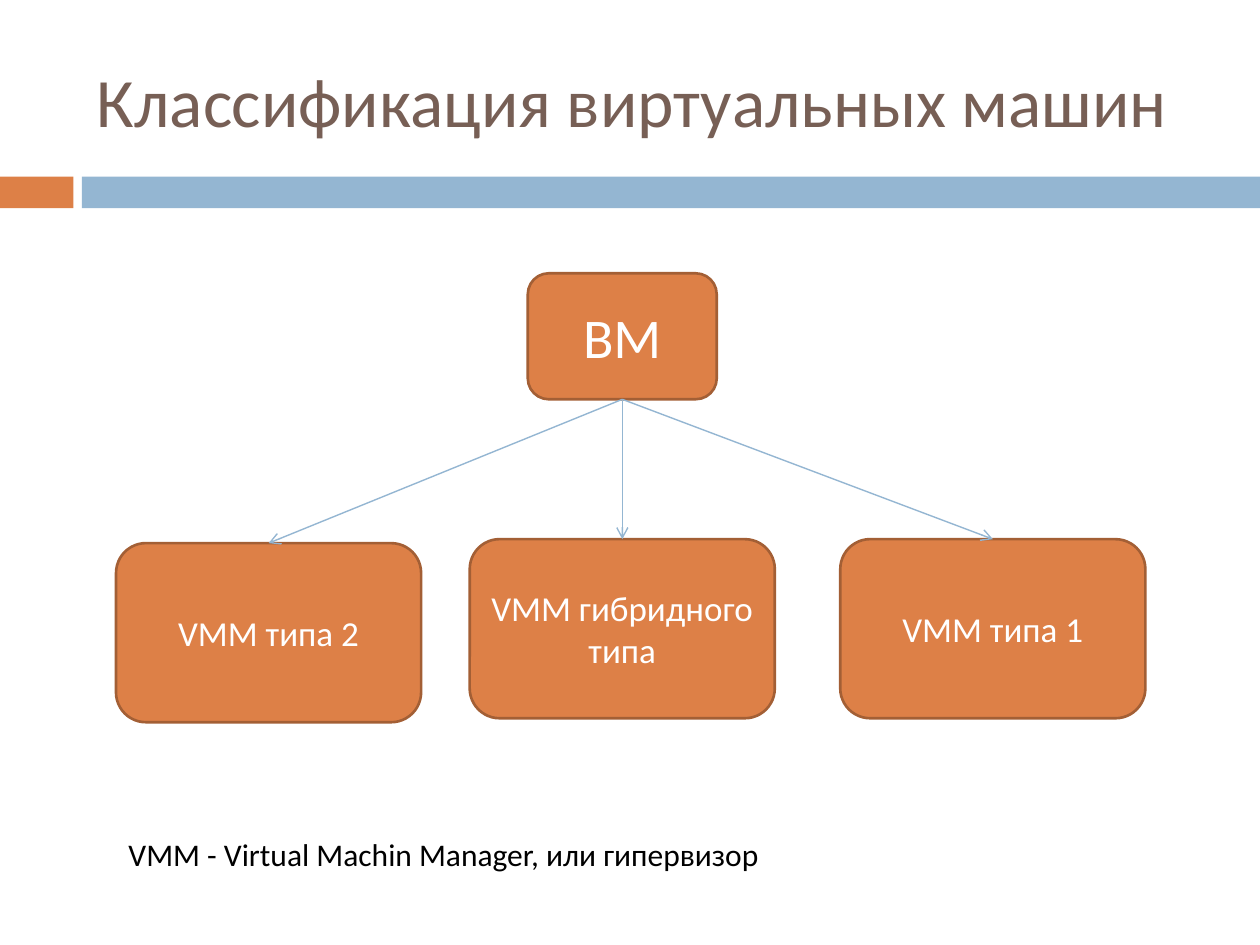
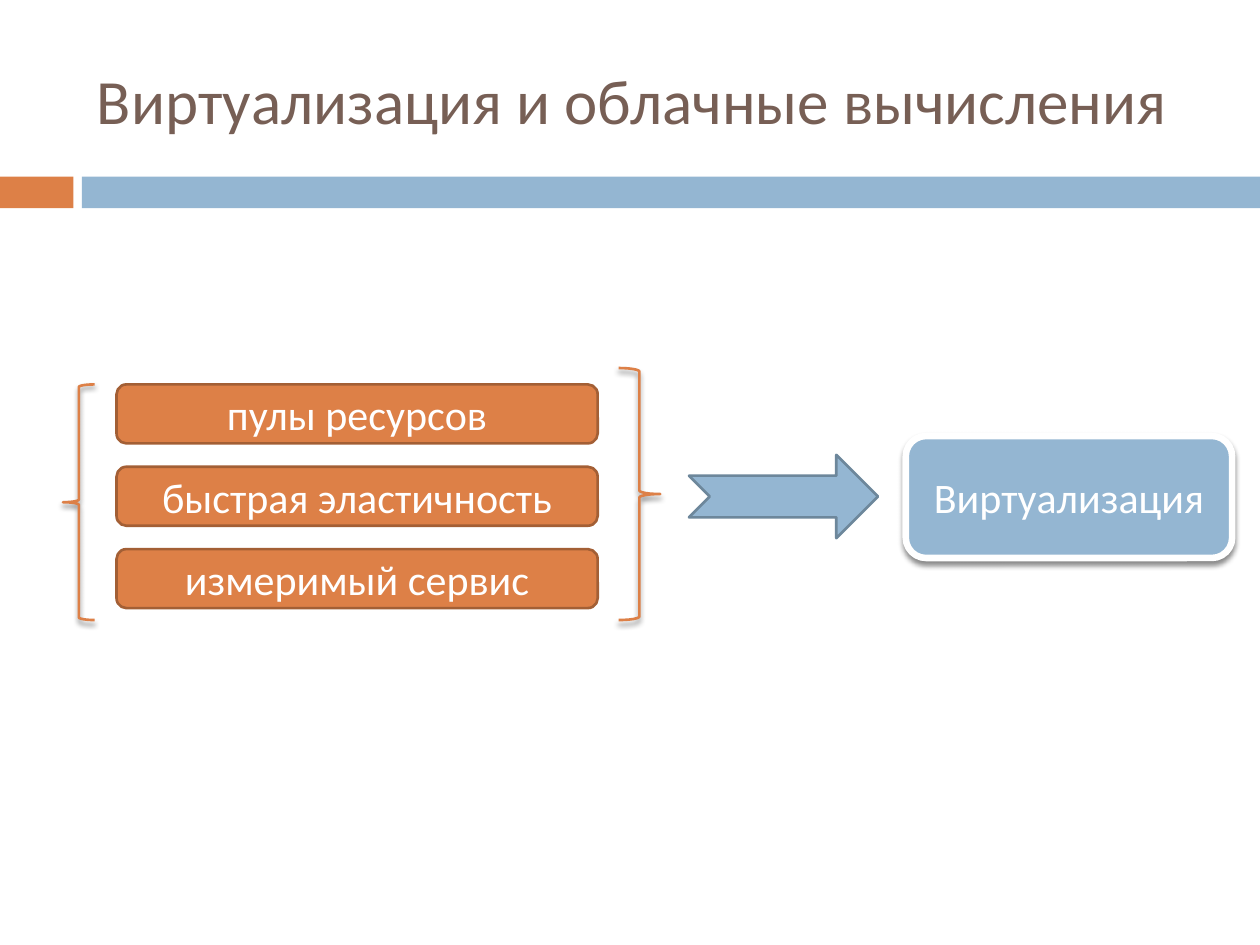
from dataclasses import dataclass
from typing import Optional

from lxml import etree
from pptx import Presentation
from pptx.dml.color import RGBColor
from pptx.enum.shapes import MSO_CONNECTOR, MSO_SHAPE
from pptx.enum.text import MSO_ANCHOR, MSO_AUTO_SIZE, PP_ALIGN
from pptx.oxml.ns import qn
from pptx.presentation import Presentation as Deck
from pptx.shapes.autoshape import Shape
from pptx.slide import Slide
from pptx.util import Cm, Pt

RECTANGLE = MSO_SHAPE.RECTANGLE
ROUNDED = MSO_SHAPE.ROUNDED_RECTANGLE
LEFT_BRACE = MSO_SHAPE.LEFT_BRACE
RIGHT_BRACE = MSO_SHAPE.RIGHT_BRACE
NOTCHED_ARROW = MSO_SHAPE.NOTCHED_RIGHT_ARROW
STRAIGHT = MSO_CONNECTOR.STRAIGHT
MIDDLE = MSO_ANCHOR.MIDDLE
LEFT, CENTER = PP_ALIGN.LEFT, PP_ALIGN.CENTER
TOP_SITE, BOTTOM_SITE = 0, 2
TITLE_ONLY = 5


@dataclass(frozen=True)
class Theme:
    font: str = "Calibri"
    orange: str = "DD8047"
    orange_edge: str = "A35F35"
    blue: str = "94B6D2"
    blue_edge: str = "6D879B"
    brown: str = "775F55"
    white: str = "FFFFFF"
    black: str = "000000"
    wide_title: float = 39.6
    long_title: float = 36
    root: float = 32
    feature: float = 24
    kind: float = 20
    caption: float = 18
    edge: float = 1.5
    thick_edge: float = 3.75
    arrow: float = 0.79


THEME = Theme()


@dataclass(frozen=True)
class Frame:
    """A place on the slide, in centimetres."""
    left: float
    top: float
    width: float
    height: float

    def lengths(self) -> tuple[Cm, Cm, Cm, Cm]:
        return Cm(self.left), Cm(self.top), Cm(self.width), Cm(self.height)


@dataclass(frozen=True)
class Block:
    frame: Frame
    text: str = ""
    size: float = THEME.feature
    preset: MSO_SHAPE = ROUNDED
    fill: Optional[str] = THEME.orange
    line: Optional[str] = THEME.orange_edge
    line_width: float = THEME.edge
    shadow: bool = False


BANDS = (
    Block(Frame(0, 3.56, 1.48, 0.64), preset=RECTANGLE, line=None),
    Block(Frame(1.65, 3.56, 23.75, 0.64), preset=RECTANGLE, fill=THEME.blue, line=None),
)


def write(shape: Shape, text: str, size: float, color: str, align: PP_ALIGN) -> None:
    shape.text_frame.text = text
    para = shape.text_frame.paragraphs[0]
    para.alignment = align
    para.font.name = THEME.font
    para.font.size = Pt(size)
    para.font.color.rgb = RGBColor.from_string(color)


def add_drop_shadow(shape: Shape) -> None:
    """Fill the empty effect list of a shape with a soft shadow below it."""
    effects = shape._element.spPr.find(qn("a:effectLst"))
    shadow = etree.SubElement(
        effects, qn("a:outerShdw"), blurRad=str(Pt(3)), dist=str(Pt(2.4)),
        dir="5400000", rotWithShape="0")
    color = etree.SubElement(shadow, qn("a:srgbClr"), val=THEME.black)
    etree.SubElement(color, qn("a:alpha"), val="45000")


def draw_block(page: Slide, block: Block) -> Shape:
    shape = page.shapes.add_shape(block.preset, *block.frame.lengths())
    if block.fill:
        shape.fill.solid()
        shape.fill.fore_color.rgb = RGBColor.from_string(block.fill)
    else:
        shape.fill.background()
    if block.line:
        shape.line.color.rgb = RGBColor.from_string(block.line)
        shape.line.width = Pt(block.line_width)
    else:
        shape.line.fill.background()
    shape.shadow.inherit = False
    if block.shadow:
        add_drop_shadow(shape)
    if block.text:
        write(shape, block.text, block.size, THEME.white, CENTER)
    return shape


def draw_arrow(page: Slide, parent: Shape, child: Shape) -> None:
    arrow = page.shapes.add_connector(STRAIGHT, 0, 0, 0, 0)
    arrow.begin_connect(parent, BOTTOM_SITE)
    arrow.end_connect(child, TOP_SITE)
    arrow.line.color.rgb = RGBColor.from_string(THEME.blue)
    arrow.line.width = Pt(THEME.arrow)
    etree.SubElement(arrow.line._get_or_add_ln(), qn("a:tailEnd"), type="arrow")
    etree.SubElement(arrow._element.spPr, qn("a:effectLst"))


def add_page(deck: Deck, text: str, size: float, width: float) -> Slide:
    """Add a slide with the shared bands and a title."""
    page = deck.slides.add_slide(deck.slide_layouts[TITLE_ONLY])
    for band in BANDS:
        draw_block(page, band)
    title = page.shapes.title
    title.left, title.top, title.width, title.height = Frame(1.7, 0.64, width, 2.74).lengths()
    title.text_frame.auto_size = MSO_AUTO_SIZE.NONE
    title.text_frame.vertical_anchor = MIDDLE
    write(title, text, size, THEME.brown, LEFT)
    return page


def build_classification(deck: Deck) -> None:
    page = add_page(deck, "Классификация виртуальных машин", THEME.wide_title, 22.66)
    machine = draw_block(page, Block(Frame(10.64, 5.51, 3.81, 2.54), "ВМ", THEME.root))
    kinds = (
        ("VMM типа 2", 2.34, 10.95),
        ("VMM гибридного типа", 9.47, 10.87),
        ("VMM типа 1", 16.94, 10.87),
    )
    for text, left, top in kinds:
        kind = draw_block(page, Block(Frame(left, top, 6.15, 3.61), text, THEME.kind))
        draw_arrow(page, machine, kind)
    caption = page.shapes.add_textbox(*Frame(2.34, 16.71, 21.16, 1.02).lengths())
    caption.text_frame.word_wrap = True
    caption.text_frame.auto_size = MSO_AUTO_SIZE.SHAPE_TO_FIT_TEXT
    write(caption, "VMM - Virtual Machin Manager, или гипервизор",
          THEME.caption, THEME.black, LEFT)


def build_cloud(deck: Deck) -> None:
    page = add_page(deck, "Виртуализация и облачные вычисления", THEME.long_title, 23.06)
    features = ("пулы ресурсов", "быстрая эластичность", "измеримый сервис")
    first_top, pitch = 7.75, 1.66
    for row, text in enumerate(features):
        draw_block(page, Block(Frame(2.35, first_top + row * pitch, 9.7, 1.19), text))
    braces = (
        (LEFT_BRACE, Frame(1.27, 7.75, 0.64, 4.75)),
        (RIGHT_BRACE, Frame(12.47, 7.42, 0.84, 5.08)),
    )
    for preset, frame in braces:
        draw_block(page, Block(frame, preset=preset, fill=None, line=THEME.orange, shadow=True))
    draw_block(page, Block(Frame(13.89, 9.17, 3.81, 1.68), preset=NOTCHED_ARROW,
                           fill=THEME.blue, line=THEME.blue_edge))
    draw_block(page, Block(Frame(18.26, 8.79, 6.58, 2.46), "Виртуализация", fill=THEME.blue,
                           line=THEME.white, line_width=THEME.thick_edge, shadow=True))


def main() -> None:
    deck = Presentation()
    deck.slide_width, deck.slide_height = Cm(25.4), Cm(19.05)
    build_classification(deck)
    build_cloud(deck)
    deck.save("out.pptx")


if __name__ == "__main__":
    main()
